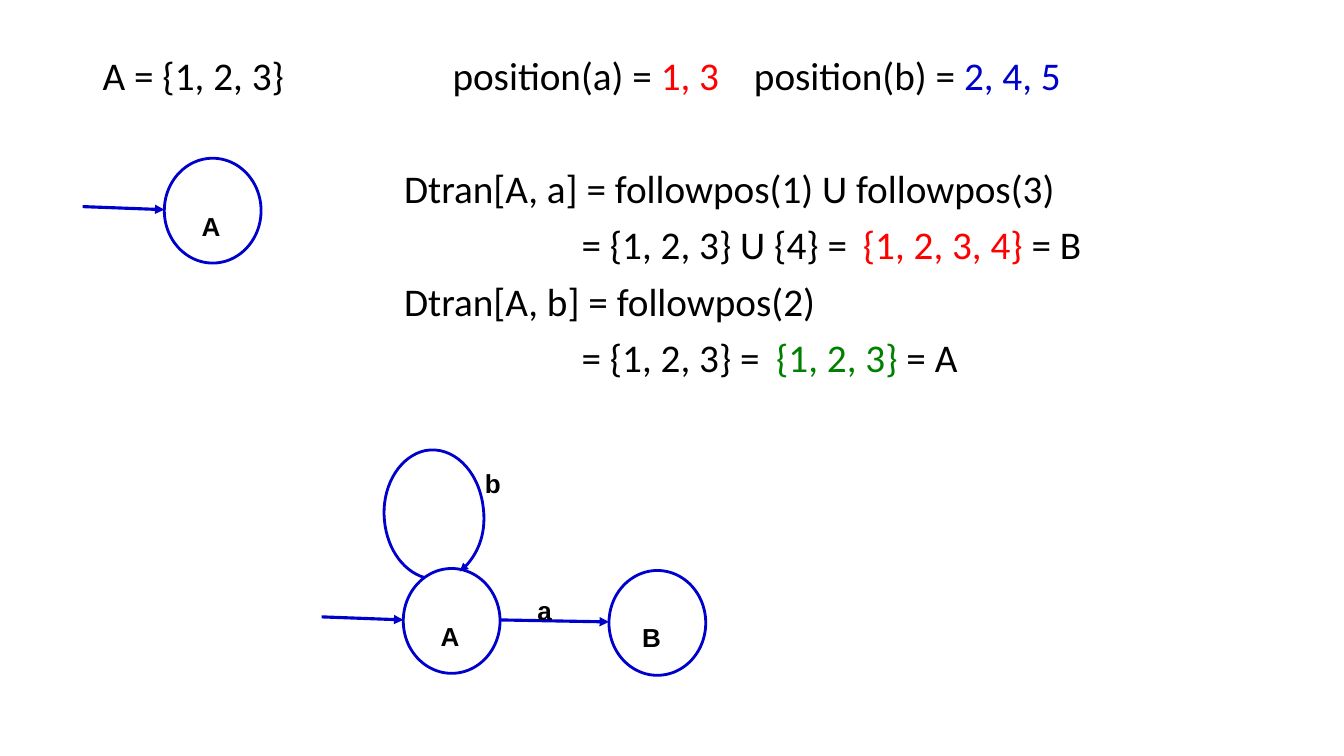
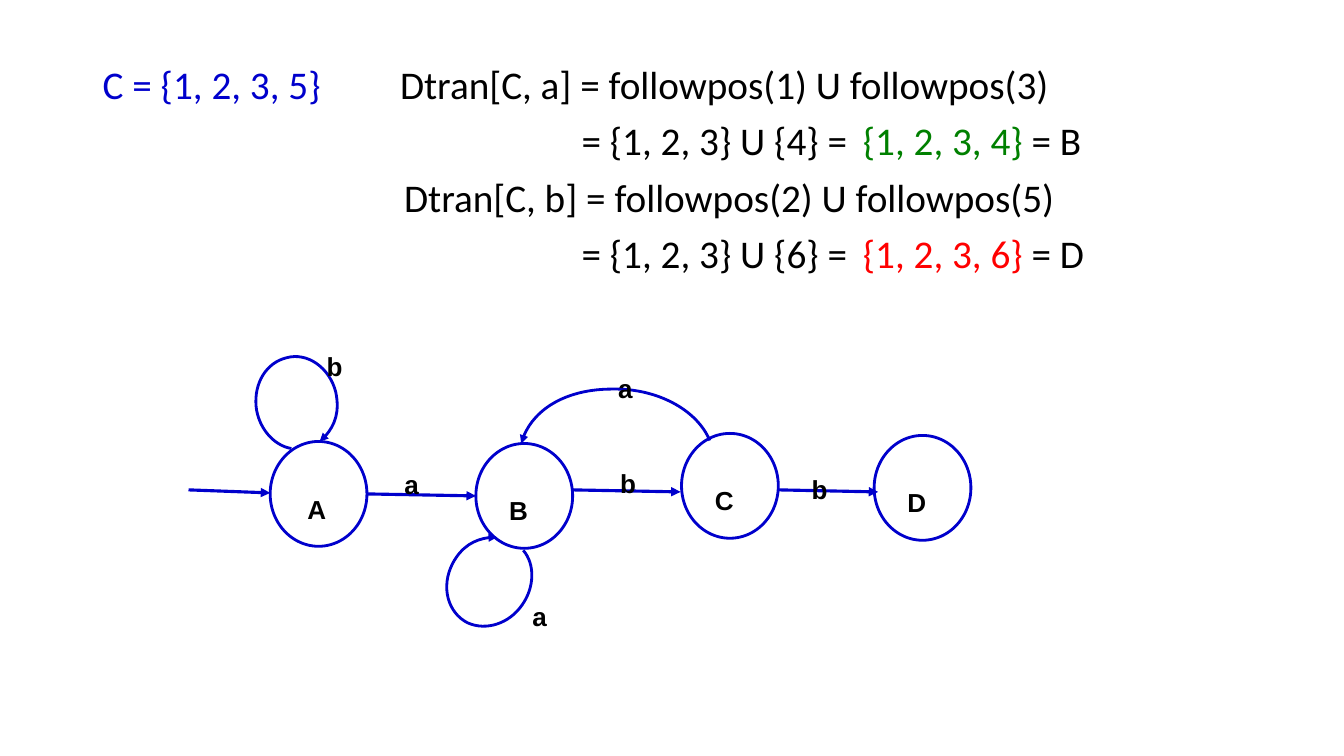
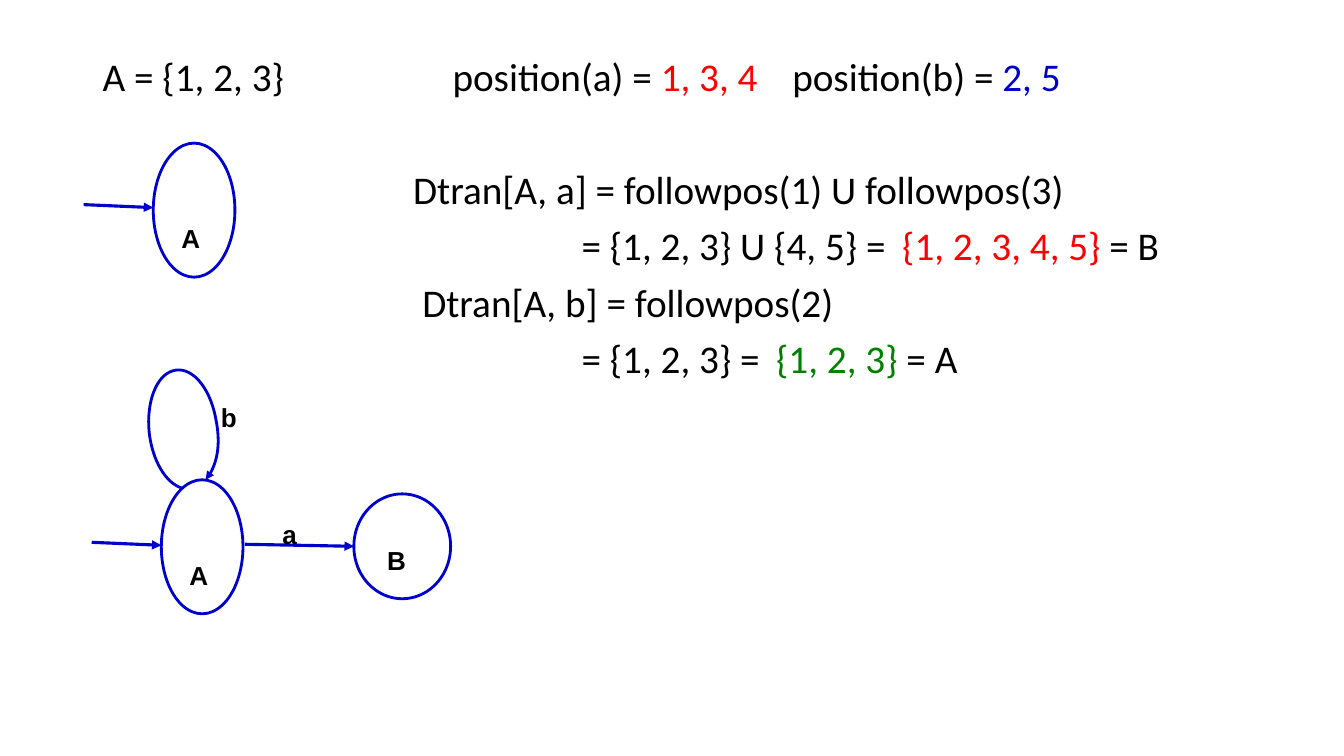
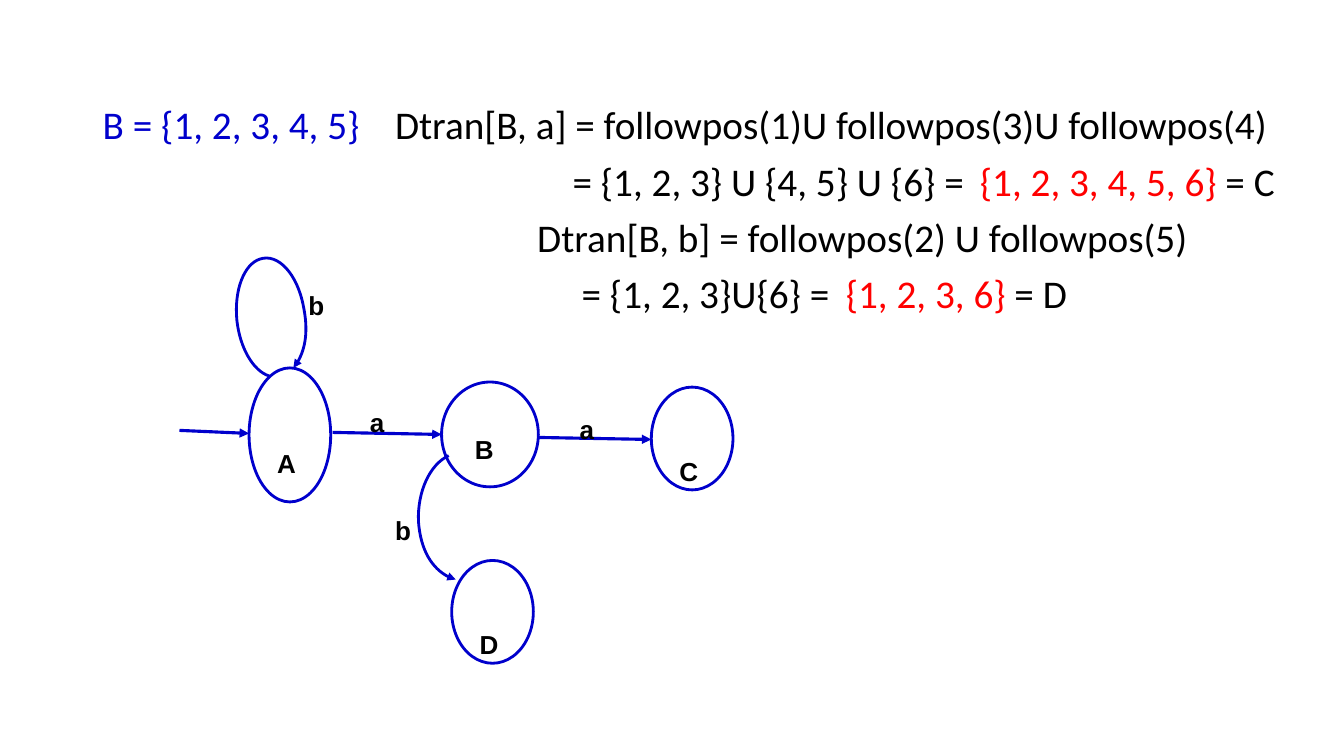
"""Four slides that turn followpos sets into DFA states and transitions."""
from itertools import accumulate
from lxml import etree
from pptx import Presentation
from pptx.dml.color import RGBColor
from pptx.enum.shapes import MSO_CONNECTOR, MSO_SHAPE
from pptx.oxml.ns import qn
from pptx.util import Inches, Pt

ELLIPSE = MSO_SHAPE.OVAL
STRAIGHT = MSO_CONNECTOR.STRAIGHT


class Theme:
    """Colours, fonts and sizes of the deck."""
    black = RGBColor(0x00, 0x00, 0x00)
    red = RGBColor(0xFF, 0x00, 0x00)
    blue = RGBColor(0x00, 0x00, 0xCC)
    green = RGBColor(0x00, 0x80, 0x00)
    body = {"name": "Calibri", "size": Pt(28)}
    letter = {"name": "Arial", "size": Pt(32), "bold": True}
    outline = Pt(2)
    arrow = Pt(2.25)
    line_spacing = 0.9
    gap = Pt(10)
    section_gap = Pt(50.7)


STATES = {
    "start": {"size": (0.96, 1.04), "offset": (0.22, 0.17), "box": (0.47, 0.64), "inset": (0.15, 0.05)},
    "round": {"size": (0.96, 1.04), "offset": (0.18, 0.16), "box": (0.47, 0.64), "inset": (0.15, 0.05)},
    "tall": {"size": (0.81, 1.33), "offset": (0.18, 0.06), "box": (0.4, 0.82), "inset": (0.1, 0.43)},
    "oval": {"size": (0.81, 1.02), "offset": (0.18, -0.05), "box": (0.37, 0.86), "inset": (0.1, 0.43)},
}

CURVES = {
    "wide loop": [(-0.23, -0.07), (-0.39, -0.32), (-0.4, -0.62), (-0.41, -0.94), (-0.23, -1.21), (0.01, -1.26),
                  (0.28, -1.31), (0.53, -1.07), (0.58, -0.72), (0.62, -0.46), (0.52, -0.19), (0.35, -0.06)],
    "small loop": [(-0.18, -0.03), (-0.33, -0.21), (-0.35, -0.42), (-0.37, -0.65), (-0.25, -0.85), (-0.05, -0.9),
                   (0.16, -0.96), (0.38, -0.8), (0.44, -0.56), (0.48, -0.37), (0.42, -0.18), (0.28, -0.07)],
    "tall loop": [(-0.16, -0.05), (-0.29, -0.28), (-0.32, -0.55), (-0.35, -0.85), (-0.25, -1.11), (-0.09, -1.16),
                  (0.09, -1.22), (0.28, -1.01), (0.34, -0.69), (0.39, -0.45), (0.35, -0.2), (0.24, -0.08)],
    "loop below": [(0.12, 0.14), (0.11, 0.37), (-0.01, 0.54), (-0.14, 0.73), (-0.37, 0.8), (-0.55, 0.72),
                   (-0.75, 0.62), (-0.82, 0.36), (-0.7, 0.13), (-0.61, -0.04), (-0.43, -0.14), (-0.26, -0.13)],
    "back": [(-0.13, -0.31), (-0.53, -0.52), (-0.97, -0.51), (-1.41, -0.51), (-1.79, -0.29), (-1.87, 0.03)],
    "down": [(-0.19, 0.09), (-0.31, 0.36), (-0.3, 0.65), (-0.28, 0.94), (-0.13, 1.18), (0.07, 1.23)],
}


class Deck:
    """Holds the presentation, its theme and the current slide."""

    def __init__(self, theme):
        """Start an empty widescreen deck."""
        self.theme = theme
        self.show = Presentation()
        self.show.slide_width, self.show.slide_height = Inches(13.33), Inches(7.5)
        self.slide = None

    def new_slide(self):
        """Add a blank slide and make it current."""
        self.slide = self.show.slides.add_slide(self.show.slide_layouts[6])

    def style(self, font, values, color):
        """Apply a dict of font values and a colour."""
        for key, value in values.items():
            setattr(font, key, value)
        font.color.rgb = color

    def text_frame(self, left, top, width, height, inset=(0.1, 0.05)):
        """Add a wrapping text box and return its frame."""
        frame = self.slide.shapes.add_textbox(*map(Inches, (left, top, width, height))).text_frame
        frame.word_wrap = True
        frame.margin_left, frame.margin_top = map(Inches, inset)
        return frame

    def body(self, top, height, lines, width=11.5):
        """Write tabbed lines given as (tab stops, coloured runs, space before)."""
        frame = self.text_frame(0.92, top, width, height)
        for index, (stops, runs, *before) in enumerate(lines):
            line = frame.add_paragraph() if index else frame.paragraphs[0]
            line.line_spacing = self.theme.line_spacing
            if index:
                line.space_before = before[0] if before else self.theme.gap
            tabs = etree.SubElement(line._p.get_or_add_pPr(), qn("a:tabLst"))
            for stop in stops:
                etree.SubElement(tabs, qn("a:tab"), pos=str(Inches(stop)), algn="l")
            for words, color in runs:
                run = line.add_run()
                run.text = words
                self.style(run.font, self.theme.body, color)

    def label(self, letter, left, top, box=(0.47, 0.64), inset=(0.15, 0.05)):
        """Write one lowered bold letter."""
        run = self.text_frame(left, top, *box, inset).paragraphs[0].add_run()
        run.text = letter
        self.style(run.font, self.theme.letter, self.theme.black)
        run._r.get_or_add_rPr().set("baseline", "-25000")

    def state(self, letter, left, top, kind="round"):
        """Draw an automaton state with its letter."""
        form = STATES[kind]
        circle = self.slide.shapes.add_shape(ELLIPSE, *map(Inches, (left, top, *form["size"])))
        circle.shadow.inherit = False
        circle.fill.background()
        self.stroke(circle.line, self.theme.outline)
        dx, dy = form["offset"]
        self.label(letter, left + dx, top + dy, form["box"], form["inset"])

    def stroke(self, line, width, arrow=False):
        """Colour a line and optionally end it with an arrowhead."""
        line.color.rgb = self.theme.blue
        line.width = width
        if arrow:
            etree.SubElement(line._get_or_add_ln(), qn("a:tailEnd"), type="triangle")

    def arrow(self, left, top, length, drop=0.02):
        """Draw a straight, slightly falling arrow."""
        ends = map(Inches, (left, top, left + length, top + drop))
        connector = self.slide.shapes.add_connector(STRAIGHT, *ends)
        self.stroke(connector.line, self.theme.arrow, arrow=True)
        etree.SubElement(connector._element.spPr, qn("a:effectLst"))

    def edge(self, letter, left, top, length=1.08, dx=0.22, dy=-0.6):
        """Draw an arrow between states with its input letter."""
        self.arrow(left, top, length)
        self.label(letter, left + dx, top + dy)

    def curve(self, kind, left, top):
        """Draw a named cubic curve that ends in an arrowhead."""
        points = [(Inches(left + dx), Inches(top + dy)) for dx, dy in CURVES[kind]]
        builder = self.slide.shapes.build_freeform(Inches(left), Inches(top))
        builder.add_line_segments(points, close=False)
        bow = builder.convert_to_shape()
        steps = bow._element.xpath(".//a:lnTo")
        for first, second, third in zip(steps[::3], steps[1::3], steps[2::3]):
            first.tag = qn("a:cubicBezTo")
            for step in (second, third):
                first.append(step[0])
                step.getparent().remove(step)
        bow.shadow.inherit = False
        bow.fill.background()
        self.stroke(bow.line, self.theme.outline, arrow=True)


def positions(theme, of_a, of_b, stop_b):
    """Give the line that lists the positions of both inputs."""
    return ([3.47, stop_b], [("A = {1, 2, 3}\tposition(a) = ", theme.black), (of_a, theme.red),
                             ("\tposition(b) = ", theme.black), (of_b, theme.blue)])


def result(theme, stops, union, found, color, name):
    """Give the line that evaluates a union to a named state."""
    return (stops, [(f"\t= {union} =\t", theme.black), (found, color), (f" = {name}", theme.black)])


def first_step(deck, theme):
    """Build the slide that reaches B from A."""
    deck.new_slide()
    deck.body(0.51, 6.24, [
        positions(theme, "1, 3", "2, 4, 5", 6.46),
        ([2.99], [("\tDtran[A, a] = followpos(1) U followpos(3)", theme.black)], theme.section_gap),
        result(theme, [4.75, 7.54], "{1, 2, 3} U {4}", "{1, 2, 3, 4}", theme.red, "B"),
        ([2.99], [("\tDtran[A, b] = followpos(2)", theme.black)]),
        result(theme, [4.75, 6.68], "{1, 2, 3}", "{1, 2, 3}", theme.green, "A"),
    ])
    for left, top in ((1.63, 1.57), (4, 5.64)):
        deck.arrow(left - 0.81, top + 0.48, 0.81, 0.03)
        deck.state("A", left, top, "start")
    deck.state("B", 6.04, 5.66)
    deck.curve("wide loop", 4.21, 5.73)
    deck.edge("a", 4.96, 6.15)
    deck.label("b", 4.66, 4.29)


def last_step(deck, theme):
    """Build the slide that reaches D from C."""
    deck.new_slide()
    deck.body(0.6, 6.15, [
        ([2.95], [("C = {1, 2, 3, 5}", theme.blue),
                  ("\tDtran[C, a] = followpos(1) U followpos(3)", theme.black)]),
        result(theme, [4.75, 7.54], "{1, 2, 3} U {4}", "{1, 2, 3, 4}", theme.green, "B"),
        ([2.99], [("\tDtran[C, b] = followpos(2) U followpos(5)", theme.black)]),
        result(theme, [4.75, 7.54], "{1, 2, 3} U {6}", "{1, 2, 3, 6}", theme.red, "D"),
    ])
    deck.arrow(1.87, 4.86, 0.81, 0.03)
    deck.state("A", 2.68, 4.38, "start")
    for letter, left, top in (("B", 4.72, 4.4), ("C", 6.76, 4.3), ("D", 8.67, 4.32)):
        deck.state(letter, left, top)
    deck.edge("a", 3.64, 4.9)
    deck.edge("b", 5.67, 4.86, dx=0.33, dy=-0.57)
    deck.edge("b", 7.72, 4.86, length=0.99, dx=0.18, dy=-0.51)
    for kind, left, top in (("small loop", 2.89, 4.45), ("loop below", 5.19, 5.46), ("back", 7.04, 4.37)):
        deck.curve(kind, left, top)
    for letter, left, top in (("b", 3.09, 3.13), ("a", 5.13, 5.61), ("a", 5.98, 3.35)):
        deck.label(letter, left, top)


def tall_start(deck, left, top):
    """Draw the entry, tall state A, its loop, state B and the edge between."""
    deck.arrow(left - 0.69, top + 0.62, 0.69, 0.03)
    deck.state("A", left, top, "tall")
    deck.curve("tall loop", left + 0.2, top + 0.08)
    deck.label("b", left + 0.44, top - 1.12)
    deck.state("B", left + 1.91, top + 0.14)
    deck.edge("a", left + 0.83, top + 0.64)


def second_example(deck, theme):
    """Build the slide that starts the second automaton."""
    deck.new_slide()
    deck.body(0.52, 6.23, [
        positions(theme, "1, 3, 4", "2, 5", 6.84),
        ([3.08], [("\tDtran[A, a] = followpos(1) U followpos(3)", theme.black)], theme.section_gap),
        result(theme, [4.75, 7.93], "{1, 2, 3} U {4, 5}", "{1, 2, 3, 4, 5}", theme.red, "B"),
        ([3.17], [("\tDtran[A, b] = followpos(2)", theme.black)]),
        result(theme, [4.75, 6.68], "{1, 2, 3}", "{1, 2, 3}", theme.green, "A"),
    ])
    deck.arrow(0.83, 2.03, 0.69, 0.03)
    deck.state("A", 1.52, 1.42, "tall")
    tall_start(deck, 1.6, 4.76)


def second_example_growth(deck, theme):
    """Build the slide that reaches C and D from B."""
    deck.new_slide()
    deck.body(1, 5.75, [
        ([2.9], [("B = {1, 2, 3, 4, 5}", theme.blue),
                 ("\tDtran[B, a] = followpos(1)U followpos(3)U followpos(4)", theme.black)]),
        result(theme, [4.66, 8.7], "{1, 2, 3} U {4, 5} U {6}", "{1, 2, 3, 4, 5, 6}", theme.red, "C"),
        ([4.31], [("\tDtran[B, b] = followpos(2) U followpos(5)", theme.black)]),
        result(theme, [4.75, 7.37], "{1, 2, 3}U{6}", "{1, 2, 3, 6}", theme.red, "D"),
    ], width=11.95)
    tall_start(deck, 2.47, 3.65)
    deck.state("C", 6.46, 3.84, "oval")
    deck.state("D", 4.48, 5.56, "oval")
    deck.edge("a", 5.34, 4.34, length=1.12, dx=0.26, dy=-0.58)
    deck.curve("down", 4.45, 4.52)
    deck.label("b", 3.77, 4.76)


def main():
    """Build all slides and save the deck."""
    deck = Deck(Theme())
    for build in (first_step, last_step, second_example, second_example_growth):
        build(deck, deck.theme)
    deck.show.save("out.pptx")


if __name__ == "__main__":
    main()
